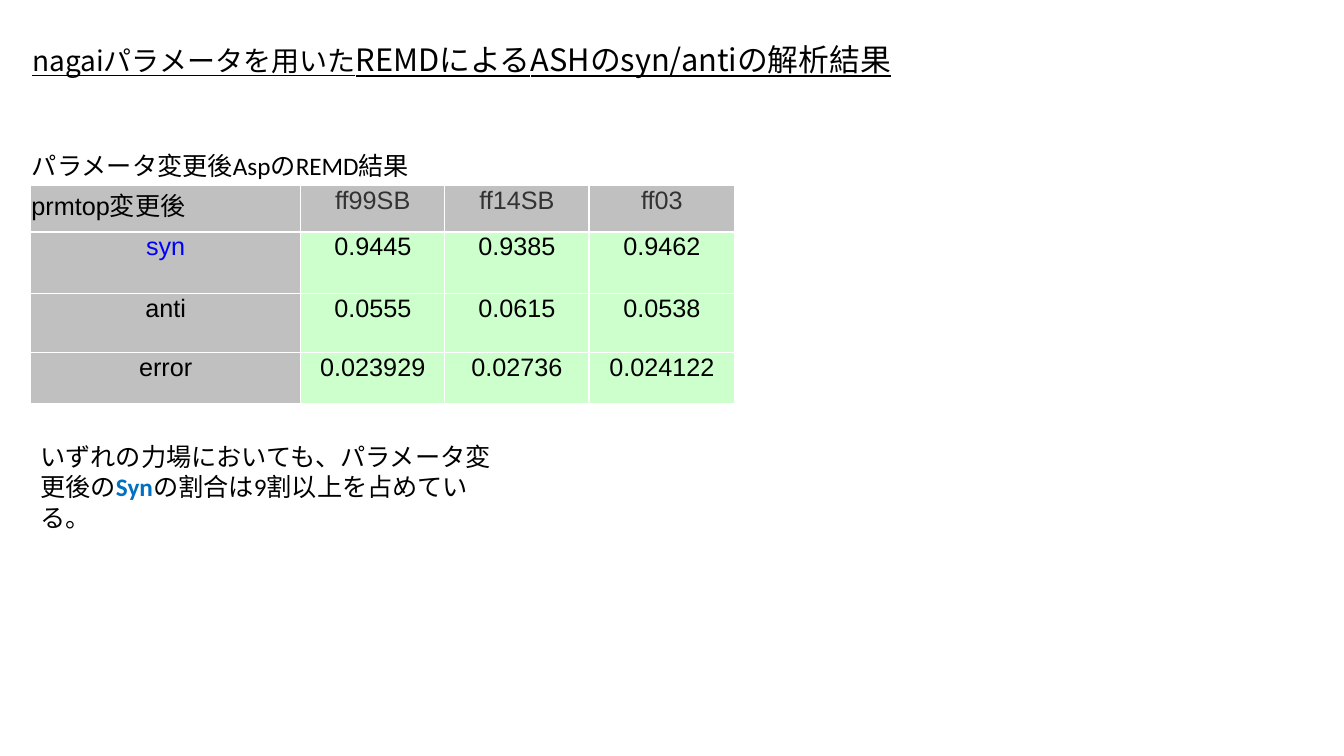
"""Build the slide on syn/anti results of REMD for ASH."""
from lxml.etree import SubElement
from pptx import Presentation
from pptx.dml.color import RGBColor
from pptx.enum.text import MSO_ANCHOR as Anchor, MSO_AUTO_SIZE as AutoSize, PP_ALIGN as Align
from pptx.oxml.ns import qn
from pptx.util import Pt

COLOURS = {"text": "000000", "header": "333333", "syn": "0000FF", "accent": "0070C0",
           "label fill": "C0C0C0", "value fill": "CCFFCC", "border": "FFFFFF"}
CJK = "Noto Sans CJK JP"


def add_run(paragraph, words, size=18, latin="Calibri", east="Calibri", colour="text", **extra):
    run = paragraph.add_run()
    run.text = words
    for key, value in {"size": Pt(size), "name": latin, "bold": False, **extra}.items():
        setattr(run.font, key, value)
    run.font.color.rgb = RGBColor.from_string(COLOURS[colour])
    SubElement(run.font._element, qn("a:ea")).set("typeface", east)


def add_border(cell, side, width):
    line = SubElement(cell._tc.get_or_add_tcPr(), qn(f"a:ln{side}"), w=str(Pt(width)))
    fill = SubElement(line, qn("a:solidFill"))
    SubElement(fill, qn("a:srgbClr"), val=COLOURS["border"])


deck = Presentation()
deck.slide_width, deck.slide_height = Pt(960), Pt(540)
slide = deck.slides.add_slide(deck.slide_layouts[5])

title = slide.shapes.title
for key, value in {"left": Pt(15.8), "top": Pt(25.2), "width": Pt(926), "height": Pt(33.8)}.items():
    setattr(title, key, value)
title_format = {"word_wrap": True, "auto_size": AutoSize.NONE, "vertical_anchor": Anchor.MIDDLE}
for key, value in title_format.items():
    setattr(title.text_frame, key, value)
heading = title.text_frame.paragraphs[0]
heading.alignment = Align.LEFT
for words, size in [("nagaiパラメータを用いた", 20), ("REMDによるASHのsyn/antiの解析結果", 22)]:
    add_run(heading, words, size, CJK, CJK, underline=True)

results = [["prmtop変更後", "ff99SB", "ff14SB", "ff03"],
           ["syn", "0.9445", "0.9385", "0.9462"],
           ["anti", "0.0555", "0.0615", "0.0538"],
           ["error", "0.023929", "0.02736", "0.024122"]]
column_widths = [193, 103, 103, 104]
row_heights = [33, 44, 42.5, 36.5]
table = slide.shapes.add_table(4, 4, Pt(21.8), Pt(132.5), Pt(sum(column_widths)),
                               Pt(sum(row_heights))).table
for column, width in zip(table.columns, column_widths):
    column.width = Pt(width)
for row, height in zip(table.rows, row_heights):
    row.height = Pt(height)

cell_format = {"margin_left": Pt(0.7), "margin_top": Pt(0.7), "margin_right": Pt(0.7),
               "margin_bottom": Pt(0), "vertical_anchor": Anchor.TOP}
for r, values in enumerate(results):
    for c, value in enumerate(values):
        cell = table.cell(r, c)
        for key, setting in cell_format.items():
            setattr(cell, key, setting)
        for side, width in {"L": 1, "R": 1, "T": 1.5 if r == 1 else 1, "B": 1.5 if r == 0 else 1}.items():
            add_border(cell, side, width)
        is_label = r == 0 or c == 0
        cell.fill.solid()
        cell.fill.fore_color.rgb = RGBColor.from_string(COLOURS["label fill" if is_label else "value fill"])
        entry = cell.text_frame.paragraphs[0]
        entry.alignment = Align.LEFT if r == c == 0 else Align.CENTER
        colour = "header" if r == 0 and c else "syn" if value == "syn" else "text"
        add_run(entry, value, 18, "Arial", CJK, colour)

remarks = [
    ((15.8, 103.7, 314.6, 29), [("パラメータ変更後AspのREMD結果", {})]),
    ((21.8, 311.8, 336.2, 73), [("いずれの力場においても、パラメータ変更後の", {}),
                                ("Syn", {"colour": "accent", "bold": True}),
                                ("の割合は9割以上を占めている。", {})]),
]
for place, pieces in remarks:
    remark = slide.shapes.add_textbox(*map(Pt, place)).text_frame
    remark.word_wrap = True
    for words, style in pieces:
        add_run(remark.paragraphs[0], words, **style)

deck.save("out.pptx")
